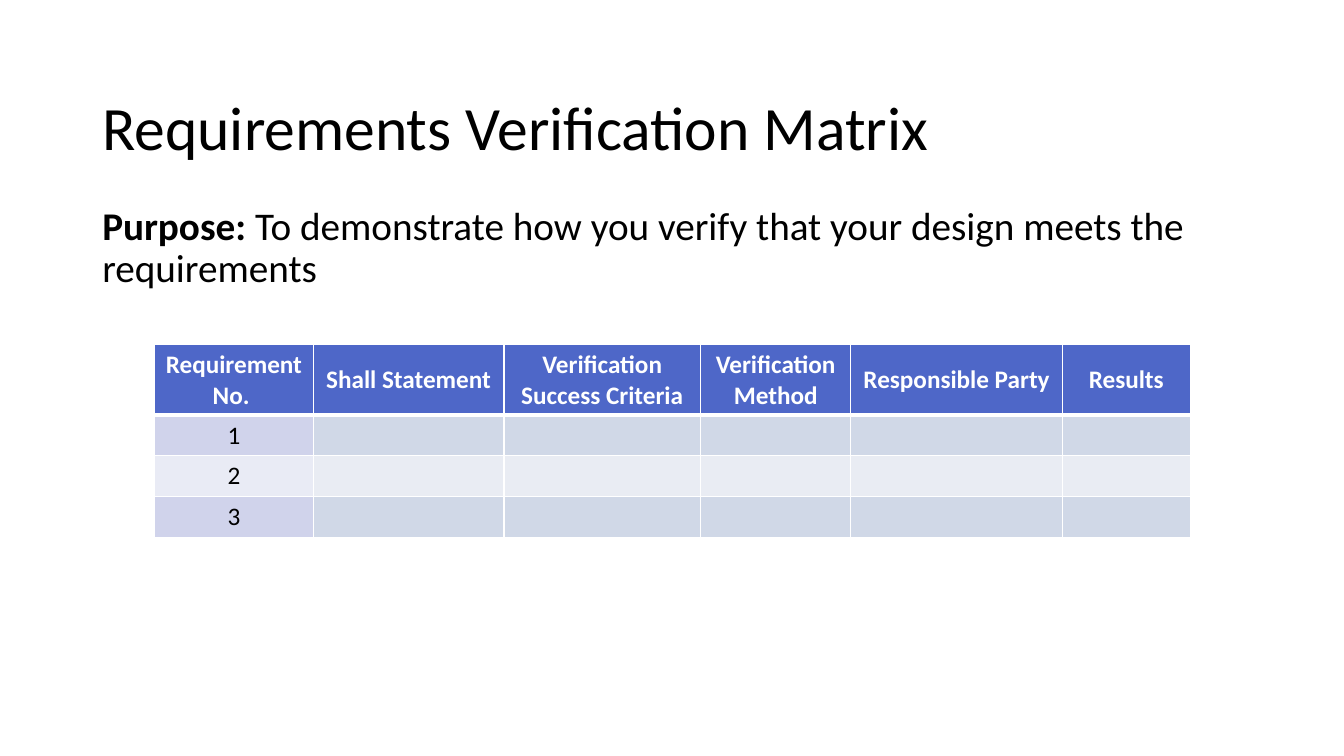
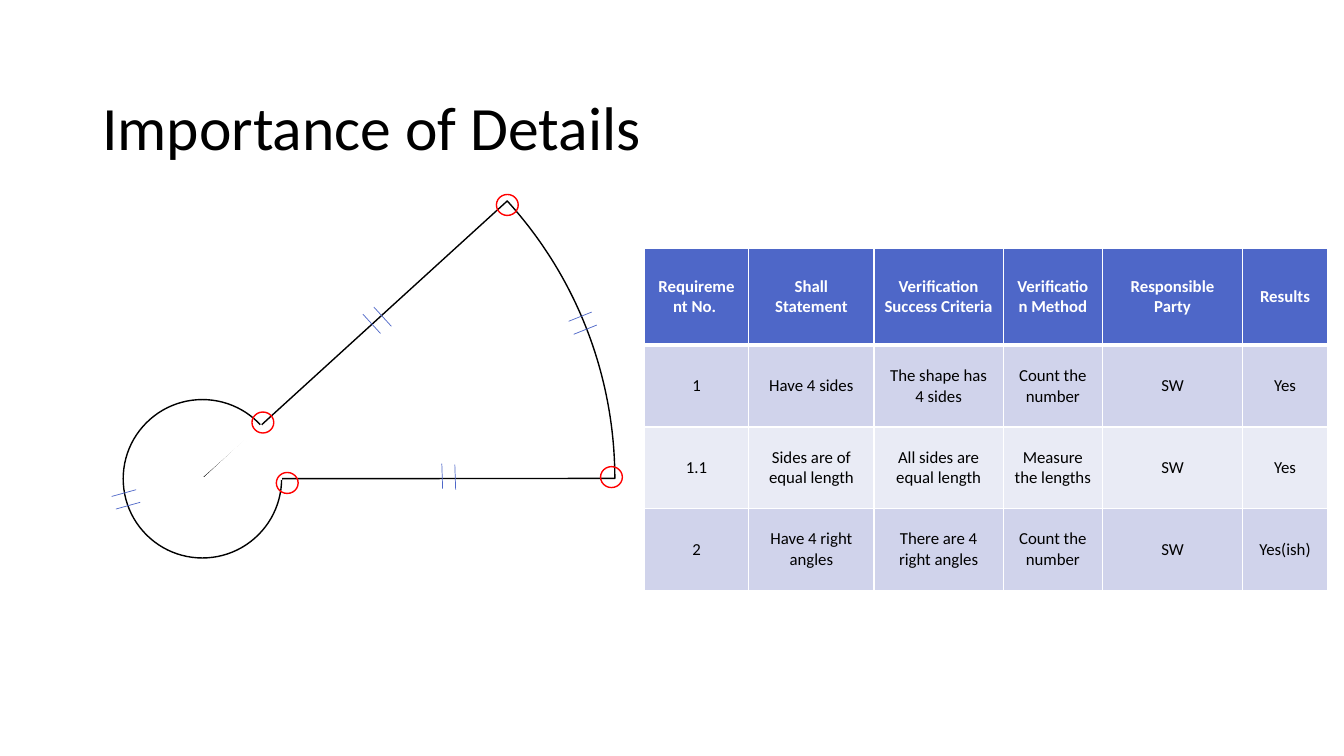
from dataclasses import dataclass

from lxml.etree import SubElement
from pptx import Presentation
from pptx.dml.color import RGBColor
from pptx.enum.shapes import MSO_CONNECTOR as Connector, MSO_SHAPE as Preset
from pptx.enum.text import MSO_ANCHOR as Anchor, PP_ALIGN as Align
from pptx.oxml.ns import qn
from pptx.util import Emu, Pt

COLORS = {
    "ink": "000000", "paper": "FFFFFF", "accent": "4E67C8",
    "band": "D0D3EB", "pale_band": "E9EBF5", "corner": "FF0000",
}
FONT = "Calibri"

# The slide is a grid of 160 columns by 90 rows of square units
COLUMNS, ROWS = 160, 90
UNIT = 76200
MARGIN, TEXT_WIDTH = 11, 138

HEADINGS = ["Requirement No. ", "Shall Statement", "Verification Success Criteria",
            "Verification Method", "Responsible Party", "Results"]


@dataclass(frozen=True)
class Matrix:
    left: float
    top: float
    widths: list[float]
    header_height: float
    row_height: float
    size: float
    rows: list[list[str]]


@dataclass(frozen=True)
class Oval:
    x: float
    y: float
    width: float
    height: float


@dataclass(frozen=True)
class Pie:
    radius: float
    start: float
    end: float


@dataclass(frozen=True)
class TickPair:
    """Two parallel marks: first start point, direction, step to the second."""
    x: float
    y: float
    run: float
    rise: float
    step_x: float
    step_y: float


def grid(value: float) -> Emu:
    return Emu(round(value * UNIT))


def color(name: str) -> RGBColor:
    return RGBColor.from_string(COLORS[name])


# Text
def write(frame, text: str, *, size: float, ink: str = "ink", bold: bool = False,
          lead: str = "", align=Align.LEFT, spacing: float = 1.0) -> None:
    para = frame.paragraphs[0]
    para.alignment = align
    para.line_spacing = spacing
    for words, heavy in ((lead, True), (text, bold)):
        if words:
            span = para.add_run()
            span.text = words
            span.font.name = FONT
            span.font.size = Pt(size)
            span.font.bold = heavy
            span.font.color.rgb = color(ink)


def add_text(page, text: str, top: float, height: float, *, anchor=Anchor.TOP, **style) -> None:
    box = page.shapes.add_textbox(grid(MARGIN), grid(top), grid(TEXT_WIDTH), grid(height))
    frame = box.text_frame
    frame.word_wrap = True
    frame.vertical_anchor = anchor
    write(frame, text, spacing=0.9, **style)


def add_title(page, text: str) -> None:
    add_text(page, text, 8.9, 13.2, anchor=Anchor.MIDDLE, size=44)


# Table
def set_borders(cell, top: float, bottom: float) -> None:
    properties = cell._tc.get_or_add_tcPr()
    for side, points in (("L", 1), ("R", 1), ("T", top), ("B", bottom)):
        line = SubElement(properties, qn(f"a:ln{side}"), w=str(Pt(points)))
        fill = SubElement(line, qn("a:solidFill"))
        SubElement(fill, qn("a:srgbClr"), val=COLORS["paper"])


def add_matrix(page, matrix: Matrix) -> None:
    lines = [HEADINGS, *matrix.rows]
    heights = [matrix.header_height] + [matrix.row_height] * len(matrix.rows)
    table = page.shapes.add_table(
        len(lines), len(HEADINGS), grid(matrix.left), grid(matrix.top),
        grid(sum(matrix.widths)), grid(sum(heights))).table
    for column, width in zip(table.columns, matrix.widths):
        column.width = grid(width)
    for index, (row, height, texts) in enumerate(zip(table.rows, heights, lines)):
        row.height = grid(height)
        header = index == 0
        background = "accent" if header else "band" if index % 2 else "pale_band"
        for cell, text in zip(row.cells, texts):
            set_borders(cell, top=3 if index == 1 else 1, bottom=3 if header else 1)
            cell.fill.solid()
            cell.fill.fore_color.rgb = color(background)
            cell.vertical_anchor = Anchor.MIDDLE
            write(cell.text_frame, text, size=matrix.size, bold=header,
                  ink="paper" if header else "ink", align=Align.CENTER)


# Drawing
def add_outline(page, preset, oval: Oval, line: str, fill: str | None = None):
    shape = page.shapes.add_shape(
        preset, grid(oval.x - oval.width / 2), grid(oval.y - oval.height / 2),
        grid(oval.width), grid(oval.height))
    shape.shadow.inherit = False
    if fill:
        shape.fill.solid()
        shape.fill.fore_color.rgb = color(fill)
    else:
        shape.fill.background()
    shape.line.color.rgb = color(line)
    shape.line.width = Pt(1)
    return shape


def add_pie(page, pie: Pie) -> None:
    oval = Oval(*PIVOT, 2 * pie.radius, 2 * pie.radius)
    shape = add_outline(page, Preset.PIE, oval, "ink", "paper")
    # An adjustment of 0.6 is one degree
    for index, degrees in enumerate((pie.start, pie.end)):
        shape.adjustments[index] = degrees * 0.6


def add_line(page, x1: float, y1: float, x2: float, y2: float, ink: str, width: float) -> None:
    line = page.shapes.add_connector(
        Connector.STRAIGHT, grid(x1), grid(y1), grid(x2), grid(y2))
    line.line.color.rgb = color(ink)
    line.line.width = Pt(width)
    SubElement(line._element.spPr, qn("a:effectLst"))


def add_ticks(page, pair: TickPair) -> None:
    for step in range(2):
        x, y = pair.x + step * pair.step_x, pair.y + step * pair.step_y
        add_line(page, x, y, x + pair.run, y + pair.rise, "accent", 0.5)


BLANK_MATRIX = Matrix(
    left=18.4, top=41, widths=[18.9, 22.7, 23.4, 17.9, 25.2, 15.2],
    header_height=8.4, row_height=4.87, size=18,
    rows=[[str(number)] for number in range(1, 4)])
FILLED_MATRIX = Matrix(
    left=76.7, top=29.6, widths=[12.45, 14.9, 15.4, 11.8, 16.7, 10.1],
    header_height=11.5, row_height=9.73, size=12,
    rows=[
        ["1", "Have 4 sides", "The shape has 4 sides", "Count the number", "SW", "Yes"],
        ["1.1", "Sides are of equal length", "All sides are equal length",
         "Measure the lengths", "SW", "Yes"],
        ["2", "Have 4 right angles", "There are 4 right angles", "Count the number",
         "SW", "Yes(ish)"],
    ])

# The four-sided figure: a wide sector joined to a round head
PIVOT = (24.1, 57)
SECTOR = Pie(49.1, 317.66, 359.95)
HEAD = Pie(9.43, 0, 318.47)
JOINTS = [(31.2, 50.64, 24.36, 57), (23.16, 57, 33.6, 57)]
CORNERS = [(31.3, 50.3), (34.2, 57.5), (60.4, 24.4), (72.8, 56.8)]
TICKS = [
    TickPair(43.2, 37.4, 2.1, 2.3, 1.3, -0.85),
    TickPair(52.6, 55.2, 0.1, 3, 1.55, 0.1),
    TickPair(13.8, 60.6, 2.9, -0.8, -0.5, -1.5),
    TickPair(68.3, 39.8, 2.75, -1.1, -0.6, -1.55),
]


def build_matrix_page(page) -> None:
    add_title(page, "Requirements Verification Matrix")
    add_text(page, "To demonstrate how you verify that your design meets the requirements",
             24, 57.1, lead="Purpose: ", size=28)
    add_matrix(page, BLANK_MATRIX)


def build_details_page(page) -> None:
    add_pie(page, SECTOR)
    add_title(page, "Importance of Details")
    add_matrix(page, FILLED_MATRIX)
    add_pie(page, HEAD)
    for joint in JOINTS:
        add_line(page, *joint, "paper", 2.25)
    for x, y in CORNERS:
        add_outline(page, Preset.OVAL, Oval(x, y, 2.6, 2.5), "corner")
    for pair in TICKS:
        add_ticks(page, pair)


def main() -> None:
    deck = Presentation()
    deck.slide_width, deck.slide_height = grid(COLUMNS), grid(ROWS)
    for build in (build_matrix_page, build_details_page):
        build(deck.slides.add_slide(deck.slide_layouts[6]))
    deck.save("out.pptx")


if __name__ == "__main__":
    main()
